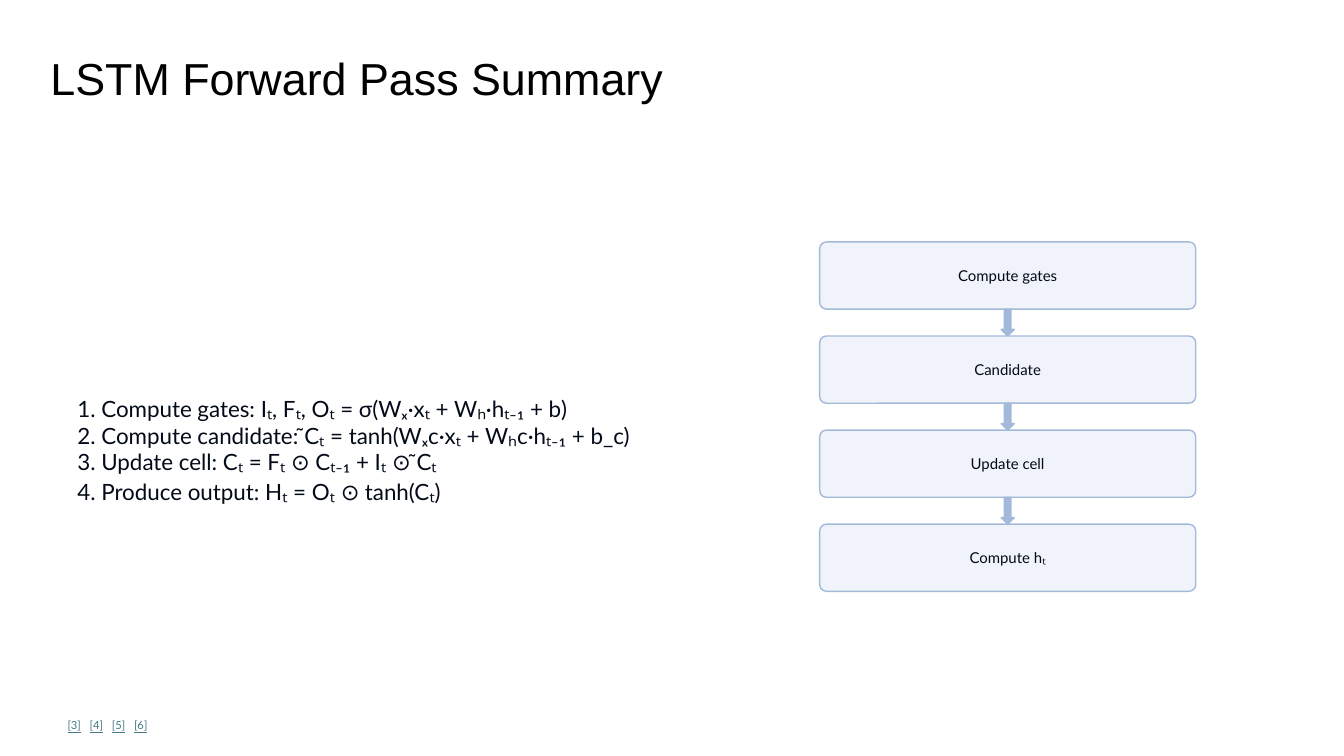
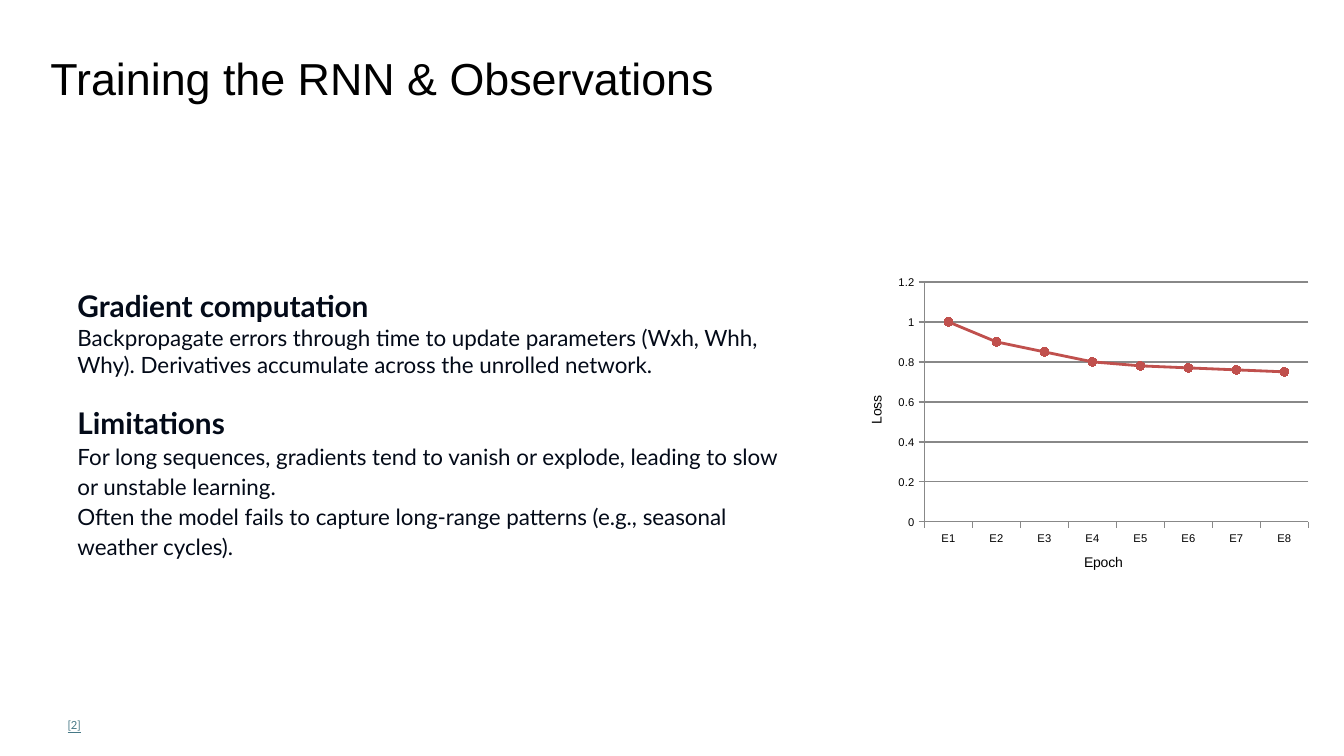
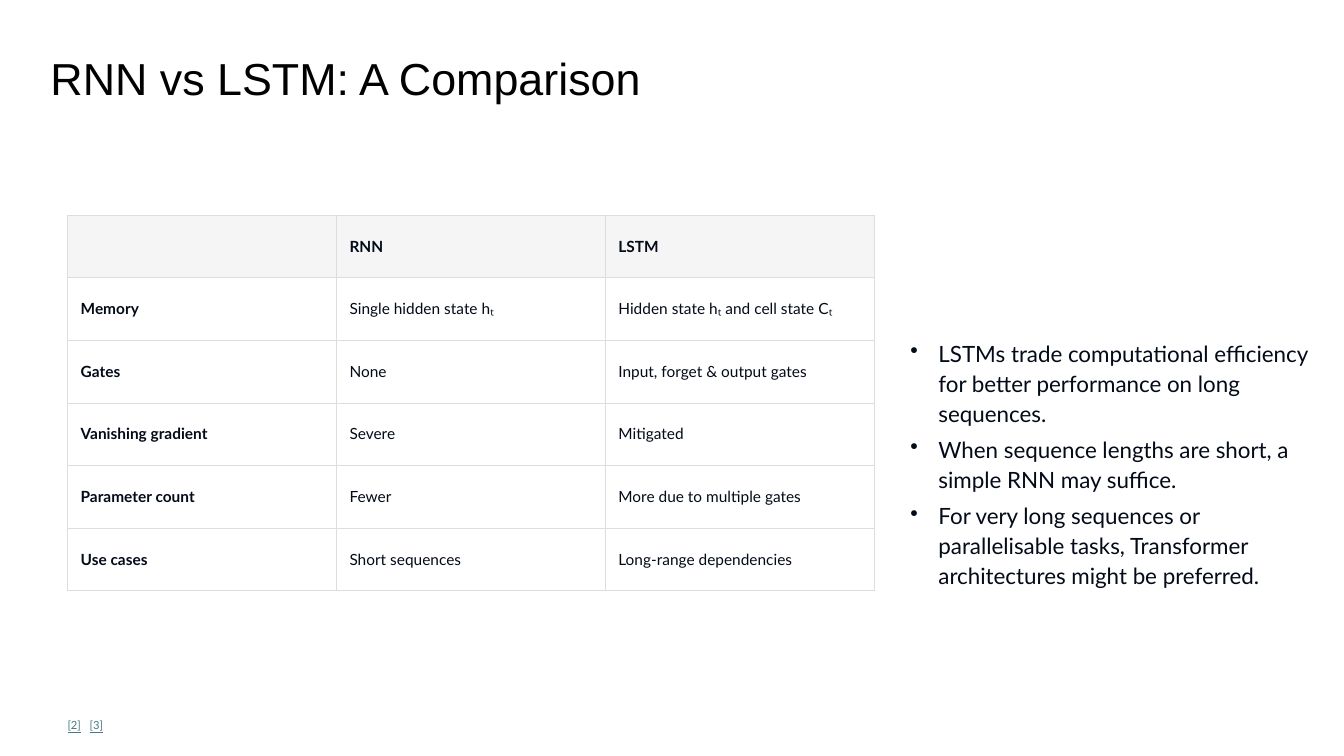
from lxml import etree
from pptx import Presentation
from pptx.chart.data import CategoryChartData
from pptx.dml.color import RGBColor
from pptx.enum.chart import XL_CHART_TYPE as ChartType
from pptx.enum.chart import XL_MARKER_STYLE as MarkerStyle
from pptx.enum.chart import XL_TICK_LABEL_POSITION as LabelPosition
from pptx.enum.chart import XL_TICK_MARK as TickMark
from pptx.enum.shapes import MSO_SHAPE as Shape
from pptx.enum.text import MSO_ANCHOR as Anchor
from pptx.enum.text import MSO_AUTO_SIZE as AutoSize
from pptx.enum.text import PP_ALIGN as Align
from pptx.oxml.ns import qn
from pptx.util import Inches, Pt

# Shared style
BLACK = RGBColor(0x00, 0x00, 0x00)
INK = RGBColor(0x03, 0x0A, 0x18)
CITATION = RGBColor(0x46, 0x78, 0x86)
STEP_FILL = RGBColor(0xF0, 0xF4, 0xFA)
STEP_LINE = RGBColor(0xA3, 0xB9, 0xD9)
AXIS_GRAY = RGBColor(0x88, 0x88, 0x88)
LOSS_RED = RGBColor(0xC0, 0x50, 0x4D)
HEADER_FILL = RGBColor(0xF5, 0xF5, 0xF5)
BORDER = "DDDDDD"
TITLE_FONT = "Arial"
BODY_FONT = "Lato"
BODY_SIZE = 16
HEADING_SIZE = 21.3
FIXED_LINE = Pt(21.3)
LEFT = 0.67


def style(font, size, color=INK, name=BODY_FONT, bold=False):
    font.name = name
    font.size = Pt(size)
    font.color.rgb = color
    font.bold = bold


def add_slide(deck, title, citations):
    """Add a slide with its title and its row of citation marks."""
    slide = deck.slides.add_slide(deck.slide_layouts[5])
    holder = slide.shapes.title
    holder.left, holder.top = Inches(0.4), Inches(0.4)
    holder.width, holder.height = Inches(12.53), Inches(0.73)
    frame = holder.text_frame
    frame.text = title
    frame.auto_size = AutoSize.NONE
    frame.vertical_anchor = Anchor.MIDDLE
    para = frame.paragraphs[0]
    para.alignment = Align.LEFT
    style(para.runs[0].font, 32, BLACK, TITLE_FONT)
    add_citations(slide, citations)
    return slide


def add_text_box(slide, left, top, width, height):
    box = slide.shapes.add_textbox(Inches(left), Inches(top), Inches(width), Inches(height))
    frame = box.text_frame
    frame.word_wrap = True
    frame.vertical_anchor = Anchor.MIDDLE
    return frame


def add_citations(slide, numbers):
    """Set citation marks at equal tab stops."""
    frame = add_text_box(slide, LEFT, 7.03, 12, 0.33)
    frame.margin_left = frame.margin_right = frame.margin_top = frame.margin_bottom = 0
    para = frame.paragraphs[0]
    tabs = etree.SubElement(para._p.get_or_add_pPr(), qn("a:tabLst"))
    for index, number in enumerate(numbers):
        if index:
            etree.SubElement(tabs, qn("a:tab"), pos=str(Inches(0.22 * index)), algn="l")
            gap = para.add_run()
            gap.text = "\t"
            style(gap.font, 8, BLACK)
        span = para.add_run()
        span.text = f"[{number}]"
        style(span.font, 8, CITATION)
        span.font.underline = True


def add_paragraphs(frame, texts):
    """Fill a frame with body paragraphs and return them."""
    frame.text = "\n".join(texts)
    for para in frame.paragraphs:
        style(para.runs[0].font, BODY_SIZE)
    return frame.paragraphs


def add_bullets(frame, texts):
    for para in add_paragraphs(frame, texts):
        para.line_spacing = FIXED_LINE
        para.space_after = Pt(4.8)
        props = para._p.get_or_add_pPr()
        props.set("marL", str(Inches(0.28)))
        props.set("indent", str(-Inches(0.28)))
        etree.SubElement(props, qn("a:buChar"), char="•")


def add_flow_shape(slide, kind, left, top, width, height, fill):
    shape = slide.shapes.add_shape(kind, Inches(left), Inches(top), Inches(width), Inches(height))
    shape.shadow.inherit = False
    shape.fill.solid()
    shape.fill.fore_color.rgb = fill
    shape.line.color.rgb = STEP_LINE
    shape.line.width = Pt(1)
    return shape


def add_flow(slide, steps, left, top, width):
    """Stack step boxes, joined by block arrows."""
    height, gap, arrow_width = 2 / 3, 4 / 15, 0.13
    for index, step in enumerate(steps):
        step_top = top + index * (height + gap)
        if index:
            add_flow_shape(slide, Shape.DOWN_ARROW, left + (width - arrow_width) / 2,
                           step_top - gap, arrow_width, gap, STEP_LINE)
        box = add_flow_shape(slide, Shape.ROUNDED_RECTANGLE, left, step_top,
                             width, height, STEP_FILL)
        box.adjustments[0] = 0.1
        frame = box.text_frame
        frame.text = step
        frame.vertical_anchor = Anchor.MIDDLE
        para = frame.paragraphs[0]
        para.alignment = Align.CENTER
        style(para.runs[0].font, 10.7)


def format_axis(axis, title):
    axis.major_tick_mark = TickMark.OUTSIDE
    axis.minor_tick_mark = TickMark.NONE
    axis.format.line.color.rgb = AXIS_GRAY
    axis.format.line.width = Pt(1)
    style(axis.tick_labels.font, 8, BLACK, TITLE_FONT)
    frame = axis.axis_title.text_frame
    frame.text = title
    style(frame.paragraphs[0].runs[0].font, 10, BLACK, TITLE_FONT)


def add_loss_chart(slide, losses):
    data = CategoryChartData()
    data.categories = [f"E{epoch}" for epoch in range(1, len(losses) + 1)]
    data.add_series("Series 1", losses)
    chart = slide.shapes.add_chart(ChartType.LINE_MARKERS, Inches(8.4), Inches(2.67),
                                   Inches(4.67), Inches(3.2), data).chart
    chart.has_title = False
    chart.has_legend = False
    style(chart.font, 10, BLACK)
    format_axis(chart.category_axis, "Epoch")
    chart.category_axis.tick_label_position = LabelPosition.LOW
    loss_axis = chart.value_axis
    format_axis(loss_axis, "Loss")
    loss_axis.minimum_scale, loss_axis.maximum_scale = 0, 1.2
    loss_axis.major_unit = 0.2
    loss_axis.major_gridlines.format.line.color.rgb = AXIS_GRAY
    loss_axis.major_gridlines.format.line.width = Pt(1)

    plot = chart.plots[0]
    plot.vary_by_categories = False
    series = plot.series[0]
    series.smooth = False
    series.format.line.color.rgb = LOSS_RED
    series.format.line.width = Pt(2)
    marker = series.marker
    marker.style = MarkerStyle.CIRCLE
    marker.size = 6
    marker.format.fill.solid()
    marker.format.fill.fore_color.rgb = LOSS_RED
    marker.format.line.color.rgb = LOSS_RED


def add_borders(cell):
    props = cell._tc.get_or_add_tcPr()
    for side in ("a:lnL", "a:lnR", "a:lnT", "a:lnB"):
        line = etree.SubElement(props, qn(side), w=str(Pt(0.3)))
        fill = etree.SubElement(line, qn("a:solidFill"))
        etree.SubElement(fill, qn("a:srgbClr"), val=BORDER)


def add_table(slide, rows):
    table = slide.shapes.add_table(len(rows), len(rows[0]), Inches(LEFT), Inches(2.13),
                                   Inches(8), Inches(3.73)).table
    table.first_row = table.horz_banding = False
    for row_index, row in enumerate(rows):
        for column_index, text in enumerate(row):
            cell = table.cell(row_index, column_index)
            add_borders(cell)
            if row_index == 0:
                cell.fill.solid()
                cell.fill.fore_color.rgb = HEADER_FILL
            else:
                cell.fill.background()
            cell.vertical_anchor = Anchor.MIDDLE
            cell.margin_left = cell.margin_right = Inches(0.13)
            cell.margin_top = cell.margin_bottom = Inches(0.07)
            cell.text = text
            style(cell.text_frame.paragraphs[0].font, 11)
            for span in cell.text_frame.paragraphs[0].runs:
                style(span.font, 11, bold=row_index == 0 or column_index == 0)


def build_forward_pass(deck):
    slide = add_slide(deck, "LSTM Forward Pass Summary", [3, 4, 5, 6])
    frame = add_text_box(slide, LEFT, 2.13, 7.33, 4.67)
    formulas = add_paragraphs(frame, [
        "1. Compute gates: Iₜ, Fₜ, Oₜ = σ(Wₓ·xₜ + Wₕ·hₜ₋₁ + b)",
        "2. Compute candidate: ̃Cₜ = tanh(Wₓc·xₜ + Wₕc·hₜ₋₁ + b_c)",
        "3. Update cell: Cₜ = Fₜ ⊙ Cₜ₋₁ + Iₜ ⊙ ̃Cₜ",
        "4. Produce output: Hₜ = Oₜ ⊙ tanh(Cₜ)",
    ])
    formulas[-1].line_spacing = FIXED_LINE
    add_flow(slide, ["Compute gates", "Candidate", "Update cell", "Compute hₜ"],
             8.13, 2.4, 3.73)


def build_training(deck):
    slide = add_slide(deck, "Training the RNN & Observations", [2])
    frame = add_text_box(slide, LEFT, 1.87, 7.33, 4.67)
    gradient, _, limits, *limit_notes = add_paragraphs(frame, [
        "Gradient computation",
        "Backpropagate errors through time to update parameters (Wxh, Whh, Why). "
        "Derivatives accumulate across the unrolled network.",
        "Limitations",
        "For long sequences, gradients tend to vanish or explode, leading to slow "
        "or unstable learning.",
        "Often the model fails to capture long‑range patterns (e.g., seasonal weather cycles).",
    ])
    for heading in (gradient, limits):
        style(heading.runs[0].font, HEADING_SIZE, bold=True)
    limits.space_before = Pt(19.2)
    for para in limit_notes:
        para.line_spacing = FIXED_LINE
    add_loss_chart(slide, [1, 0.9, 0.85, 0.8, 0.78, 0.77, 0.76, 0.75])


def build_comparison(deck):
    slide = add_slide(deck, "RNN vs LSTM: A Comparison", [2, 3])
    add_table(slide, [
        ("", "RNN", "LSTM"),
        ("Memory", "Single hidden state hₜ", "Hidden state hₜ and cell state Cₜ"),
        ("Gates", "None", "Input, forget & output gates"),
        ("Vanishing gradient", "Severe", "Mitigated"),
        ("Parameter count", "Fewer", "More due to multiple gates"),
        ("Use cases", "Short sequences", "Long‑range dependencies"),
    ])
    add_bullets(add_text_box(slide, 8.93, 2.93, 4.27, 3.33), [
        "LSTMs trade computational efficiency for better performance on long sequences.",
        "When sequence lengths are short, a simple RNN may suffice.",
        "For very long sequences or parallelisable tasks, Transformer architectures "
        "might be preferred.",
    ])


def main():
    deck = Presentation()
    deck.slide_width, deck.slide_height = Inches(13.33), Inches(7.5)
    build_forward_pass(deck)
    build_training(deck)
    build_comparison(deck)
    deck.save("out.pptx")


if __name__ == "__main__":
    main()
